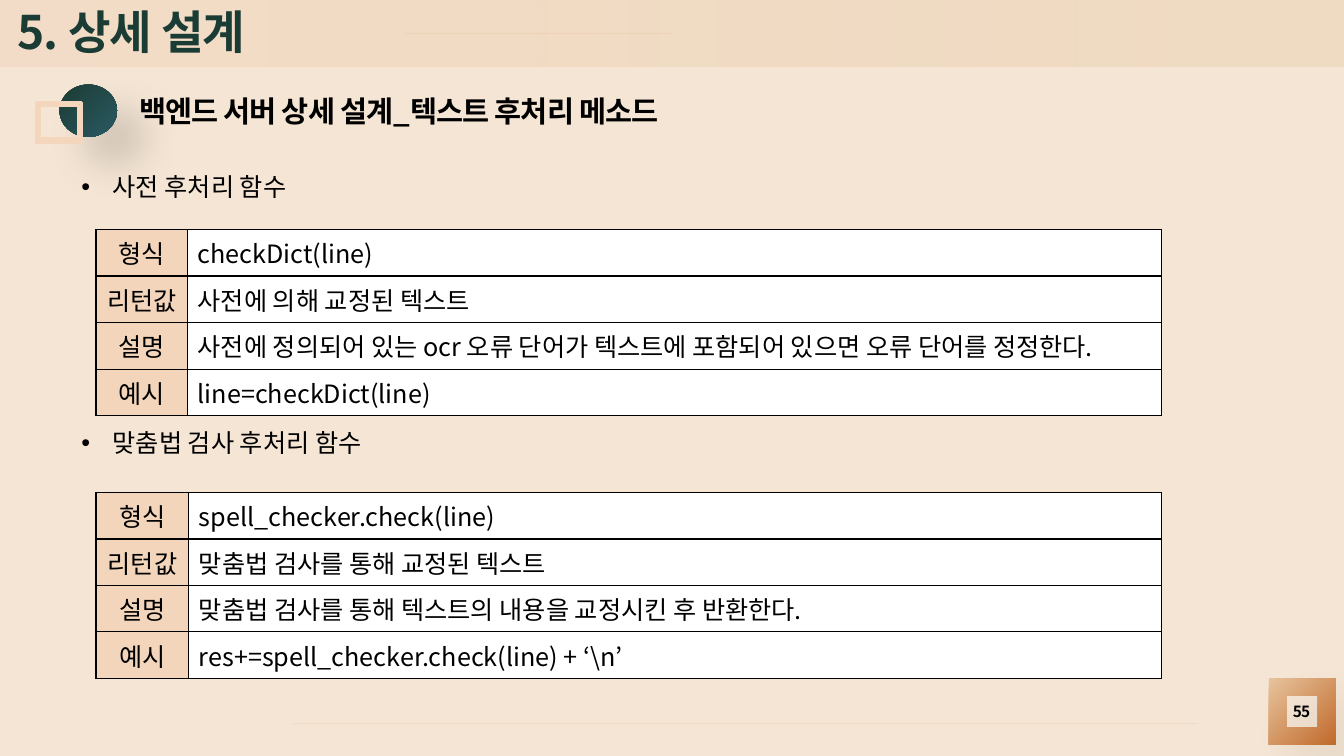
from lxml.etree import SubElement
from pptx import Presentation
from pptx.dml.color import RGBColor
from pptx.enum.shapes import MSO_CONNECTOR, MSO_SHAPE
from pptx.enum.text import MSO_ANCHOR, MSO_AUTO_SIZE, PP_ALIGN
from pptx.oxml.ns import qn
from pptx.util import Cm, Pt

COLORS = {
    "background": "F4E5D4", "sand": "E7C49D", "peach": "F3D5BB", "rust": "C16A2C",
    "rule": "E3AB83", "outline": "D9D9D9", "title": "1B3C35", "green": "1B3C33",
    "teal": "2A5963", "frame": "E4C2A9", "frame_line": "F3D6BC",
    "black": "000000", "white": "FFFFFF",
}
FONT = "Noto Sans CJK KR"
LABELS = ["형식", "리턴값", "설명", "예시"]
FUNCTIONS = [
    ("사전 후처리 함수", 4.19, 5.78, 2.31, [
        "checkDict(line)",
        "사전에 의해 교정된 텍스트",
        "사전에 정의되어 있는 ocr 오류 단어가 텍스트에 포함되어 있으면 오류 단어를 정정한다.",
        "line=checkDict(line)",
    ]),
    ("맞춤법 검사 후처리 함수", 10.64, 12.41, 2.34, [
        "spell_checker.check(line)",
        "맞춤법 검사를 통해 교정된 텍스트",
        "맞춤법 검사를 통해 텍스트의 내용을 교정시킨 후 반환한다.",
        "res+=spell_checker.check(line) + ‘\\n’",
    ]),
]


class SlideBuilder:
    """Draws styled elements on one slide."""

    def __init__(self, presentation):
        """Add a title-only slide with the background colour."""
        self.slide = presentation.slides.add_slide(presentation.slide_layouts[5])
        fill = self.slide.background.fill
        fill.solid()
        fill.fore_color.rgb = self.color("background")

    def color(self, name):
        """Return a named colour."""
        return RGBColor.from_string(COLORS[name])

    def set_alpha(self, parent, percent):
        """Make every colour under an element partly transparent."""
        for color in parent.iter(qn("a:srgbClr")):
            SubElement(color, qn("a:alpha"), val=str(percent * 1000))

    def set_line(self, item, name, width, alpha=100):
        """Format the line of a shape or connector."""
        item.line.color.rgb = self.color(name)
        item.line.width = Pt(width)
        if alpha < 100:
            self.set_alpha(item.line._get_or_add_ln(), alpha)

    def set_text(self, frame, text, size, color="black", bold=False, spacing=0,
                 align=PP_ALIGN.LEFT):
        """Set the text of a frame and format its run."""
        frame.text = text
        paragraph = frame.paragraphs[0]
        paragraph.alignment = align
        font = paragraph.runs[0].font
        font.name, font.size, font.bold = FONT, Pt(size), bold
        font.color.rgb = self.color(color)
        properties = paragraph.runs[0]._r.get_or_add_rPr()
        SubElement(properties, qn("a:ea"), typeface=FONT)
        if spacing:
            properties.set("spc", str(round(spacing * 100)))
        return paragraph

    def heading(self, shape, text, size, color="black", align=PP_ALIGN.LEFT):
        """Set bold text without margins, centred vertically."""
        frame = shape.text_frame
        frame.word_wrap = True
        frame.auto_size = MSO_AUTO_SIZE.NONE
        frame.vertical_anchor = MSO_ANCHOR.MIDDLE
        frame.margin_left = frame.margin_right = frame.margin_top = frame.margin_bottom = 0
        self.set_text(frame, text, size, color, True, -0.6, align)

    def title(self, text, left, top, width, height):
        """Place the title placeholder in front of the shapes drawn so far."""
        shape = self.slide.shapes.title
        shape.left, shape.top, shape.width, shape.height = map(Cm, (left, top, width, height))
        self.slide.shapes._spTree.append(shape._element)
        self.set_line(shape, "outline", 0.25, 5)
        self.heading(shape, text, 33, "title")

    def shape(self, kind, left, top, width, height, adjustment=None):
        """Add a preset shape without fill, line or shadow."""
        shape = self.slide.shapes.add_shape(kind, *map(Cm, (left, top, width, height)))
        shape.shadow.inherit = False
        shape.fill.background()
        shape.line.fill.background()
        if adjustment is not None:
            shape.adjustments[0] = adjustment
        return shape

    def gradient(self, shape, names, angle, alphas=(100, 100)):
        """Fill a shape with a two-colour gradient."""
        shape.fill.gradient()
        shape.fill.gradient_angle = angle
        for stop, name, alpha in zip(shape.fill.gradient_stops, names, alphas):
            stop.color.rgb = self.color(name)
            if alpha < 100:
                self.set_alpha(stop._gs, alpha)

    def shadow(self, shape, alpha):
        """Give a shape a soft shadow to the lower right."""
        effects = shape._element.spPr.find(qn("a:effectLst"))
        outer = SubElement(effects, qn("a:outerShdw"), blurRad=str(Pt(30)), dist=str(Pt(26)),
                           dir=str(45 * 60000), algn="tl", rotWithShape="0")
        SubElement(outer, qn("a:srgbClr"), val=COLORS["black"])
        self.set_alpha(outer, alpha)

    def rule(self, left, right, height):
        """Add a faint horizontal rule."""
        line = self.slide.shapes.add_connector(
            MSO_CONNECTOR.STRAIGHT, Cm(left), Cm(height), Cm(right), Cm(height))
        self.set_line(line, "rule", 0.5, 24)
        SubElement(line._element.spPr, qn("a:effectLst"))

    def text_box(self, left, top, width, height):
        """Add an empty wrapping text box."""
        box = self.slide.shapes.add_textbox(*map(Cm, (left, top, width, height)))
        box.text_frame.word_wrap = True
        return box

    def bullet(self, text, left, top):
        """Add a one-line bulleted text."""
        frame = self.text_box(left, top, 14.91, 1.02).text_frame
        frame.auto_size = MSO_AUTO_SIZE.SHAPE_TO_FIT_TEXT
        paragraph = self.set_text(frame, text, 18)
        properties = paragraph._p.get_or_add_pPr()
        properties.set("marL", str(Cm(0.79)))
        properties.set("indent", str(Cm(-0.79)))
        SubElement(properties, qn("a:buFont"), typeface="Arial")
        SubElement(properties, qn("a:buChar"), char="•")

    def cell(self, cell, text, fill, align):
        """Fill one bordered table cell."""
        properties = cell._tc.get_or_add_tcPr()
        for side in ("lnL", "lnR", "lnT", "lnB"):
            border = SubElement(properties, qn(f"a:{side}"), w=str(Pt(1)))
            solid = SubElement(border, qn("a:solidFill"))
            SubElement(solid, qn("a:srgbClr"), val=COLORS["black"])
        cell.fill.solid()
        cell.fill.fore_color.rgb = self.color(fill)
        cell.vertical_anchor = MSO_ANCHOR.MIDDLE
        self.set_text(cell.text_frame, text, 18, align=align)

    def table(self, left, top, label_width, values):
        """Add a two-column table of labels and values."""
        width, row_height = 26.86, 1.17
        table = self.slide.shapes.add_table(
            len(LABELS), 2, Cm(left), Cm(top), Cm(width), Cm(row_height * len(LABELS))).table
        table.first_row = table.horz_banding = False
        table.columns[0].width = Cm(label_width)
        table.columns[1].width = Cm(width - label_width)
        for row, (label, value) in enumerate(zip(LABELS, values)):
            table.rows[row].height = Cm(row_height)
            self.cell(table.cell(row, 0), label, "peach", PP_ALIGN.CENTER)
            self.cell(table.cell(row, 1), value, "white", PP_ALIGN.LEFT)


def main():
    """Build and save the slide."""
    presentation = Presentation()
    presentation.slide_width, presentation.slide_height = Cm(33.87), Cm(19.05)
    builder = SlideBuilder(presentation)

    band = builder.shape(MSO_SHAPE.RECTANGLE, 0, 0, 33.87, 1.68)
    builder.gradient(band, ("sand", "peach"), 180, (31, 50))
    builder.rule(10.19, 16.94, 0.84)
    number_frame = builder.shape(MSO_SHAPE.FRAME, 31.98, 17.09, 1.68, 1.68, 0.265)
    builder.gradient(number_frame, ("sand", "rust"), 315)
    builder.shadow(number_frame, 8)
    builder.rule(7.39, 30.18, 18.24)
    builder.title("5. 상세 설계", 0.43, 0, 21.69, 1.57)
    builder.heading(builder.text_box(32, 17.65, 1.6, 0.56), "55", 11, align=PP_ALIGN.CENTER)

    disc = builder.shape(MSO_SHAPE.OVAL, 1.5, 2.13, 1.45, 1.32)
    builder.gradient(disc, ("green", "teal"), 315)
    builder.shadow(disc, 17)
    frame = builder.shape(MSO_SHAPE.FRAME, 0.91, 2.59, 1.14, 0.99, 0.078)
    frame.fill.solid()
    frame.fill.fore_color.rgb = builder.color("frame")
    builder.set_line(frame, "frame_line", 2.25)
    subtitle = builder.shape(MSO_SHAPE.RECTANGLE, 3.51, 2.31, 16.69, 0.94)
    builder.set_line(subtitle, "outline", 0.25, 5)
    builder.heading(subtitle, "백엔드 서버 상세 설계_텍스트 후처리 메소드", 21)

    for name, bullet_top, table_top, label_width, values in FUNCTIONS:
        builder.table(2.42, table_top, label_width, values)
        builder.bullet(name, 1.8, bullet_top)
    presentation.save("out.pptx")


if __name__ == "__main__":
    main()
